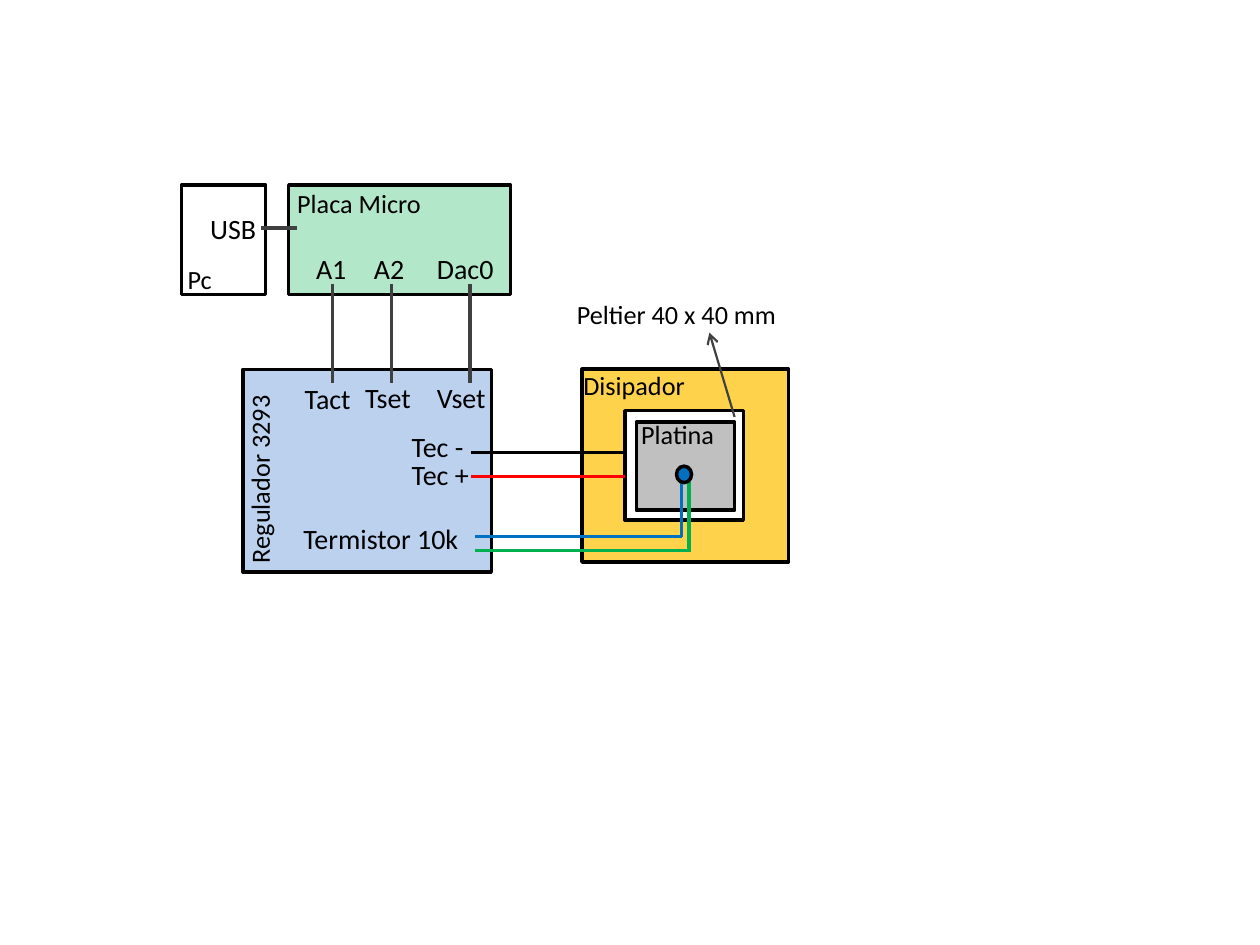
import dataclasses
import typing

import lxml.etree
import pptx
import pptx.dml.color
import pptx.enum.shapes
import pptx.enum.text
import pptx.oxml.ns
import pptx.util

COLORS = {
    "black": "000000", "white": "FFFFFF", "controller": "558ED5",
    "board": "00B050", "heatsink": "FFC000", "plate": "A6A6A6",
    "signal": "404040", "red": "FF0000", "blue": "0070C0", "green": "00B050",
}
SHAPES = pptx.enum.shapes.MSO_SHAPE


@dataclasses.dataclass
class Block:
    left: float
    top: float
    width: float
    height: float
    fill: typing.Optional[str] = None
    opacity: int = 100
    kind: typing.Any = SHAPES.RECTANGLE


@dataclasses.dataclass
class Wire:
    x1: float
    y1: float
    x2: float
    y2: float
    color: str = "signal"
    weight: float = 1.75
    arrow: bool = False


@dataclasses.dataclass
class Label:
    text: str
    left: float
    top: float
    width: float = 56.9
    size: float = 16
    rotation: float = 0


def rgb(name: str) -> pptx.dml.color.RGBColor:
    return pptx.dml.color.RGBColor.from_string(COLORS[name])


def add_child(parent: typing.Any, tag: str, **attributes: str) -> None:
    child = lxml.etree.SubElement(parent, pptx.oxml.ns.qn(tag))
    for name, value in attributes.items():
        child.set(name, value)


def draw_block(page: typing.Any, block: Block) -> None:
    lengths = (block.left, block.top, block.width, block.height)
    box = page.shapes.add_shape(block.kind, *map(pptx.util.Pt, lengths))
    box.shadow.inherit = False
    box.line.color.rgb = rgb("black")
    box.line.width = pptx.util.Pt(2)
    if block.fill is None:
        box.fill.background()
        return
    box.fill.solid()
    box.fill.fore_color.rgb = rgb(block.fill)
    if block.opacity < 100:
        color = box._element.spPr.find(
            pptx.oxml.ns.qn("a:solidFill") + "/" + pptx.oxml.ns.qn("a:srgbClr"))
        add_child(color, "a:alpha", val=str(block.opacity * 1000))


def draw_wire(page: typing.Any, wire: Wire) -> None:
    ends = (wire.x1, wire.y1, wire.x2, wire.y2)
    line = page.shapes.add_connector(
        pptx.enum.shapes.MSO_CONNECTOR.STRAIGHT, *map(pptx.util.Pt, ends))
    line.line.color.rgb = rgb(wire.color)
    line.line.width = pptx.util.Pt(wire.weight)
    if wire.arrow:
        add_child(line.line._get_or_add_ln(), "a:tailEnd", type="arrow")
    add_child(line._element.spPr, "a:effectLst")


def add_text(page: typing.Any, text: str, *, left: float, top: float,
             width: float, size: float, rotation: float = 0,
             color: str = "black", font: str = "Calibri") -> None:
    height = 26.6 if size == 16 else 25.4
    box = page.shapes.add_textbox(*map(pptx.util.Pt, (left, top, width, height)))
    box.rotation = rotation
    box.text_frame.word_wrap = True
    box.text_frame.auto_size = pptx.enum.text.MSO_AUTO_SIZE.SHAPE_TO_FIT_TEXT
    span = box.text_frame.paragraphs[0].add_run()
    span.text = text
    span.font.name = font
    span.font.size = pptx.util.Pt(size)
    span.font.color.rgb = rgb(color)


deck = pptx.Presentation()
deck.slide_width = pptx.util.Pt(720)
deck.slide_height = pptx.util.Pt(540)
page = deck.slides.add_slide(deck.slide_layouts[6])

# Equipment, from back to front
blocks = [
    Block(139, 211, 141.8, 115.9, "controller", 40),
    Block(165, 105.8, 126.7, 62.6, "board", 30),
    Block(332.6, 211, 118, 110.2, "heatsink", 70),
    Block(357.1, 234.7, 67.7, 62.6, "white"),
    Block(363.6, 241.2, 56.2, 50.4, "plate", 70),
    Block(103.7, 105.8, 48.2, 62.6),
]
for block in blocks:
    draw_block(page, block)

# Signal, power and thermistor wires
wires = [Wire(x, 162, x, 218.9) for x in (190.1, 223.9, 268.6)]
wires += [
    Wire(149, 130.3, 169.9, 130.3),
    Wire(269.3, 258.5, 357.1, 258.5, "black", 2),
    Wire(269.3, 272.2, 357.1, 272.2, "red", 2),
    Wire(271.4, 306.7, 389.5, 306.7, "blue", 2),
    Wire(389.5, 306.7, 389.5, 275.8, "blue", 2),
    Wire(271.4, 314.6, 394.6, 314.6, "green", 2),
    Wire(393.8, 314.6, 393.8, 274.3, "green", 2),
    Wire(419.8, 238.3, 405.4, 190.1, weight=1.25, arrow=True),
]
for wire in wires:
    draw_wire(page, wire)

# Temperature sensor
draw_block(page, Block(386.6, 266.4, 8.6, 9.4, "blue", kind=SHAPES.OVAL))

# Terminal and equipment names
labels = [
    Label("A1", 173.5, 140.4), Label("A2", 206.6, 140.4),
    Label("Dac0", 242.6, 140.4),
    Label("Tact", 167, 214.6), Label("Tset", 201.6, 213.8),
    Label("Vset", 242.6, 213.8),
    Label("Tec -", 228.2, 241.9), Label("Tec +", 228.2, 257.8),
    Label("Termistor 10k", 166.3, 294.5, 108),
    Label("USB", 113, 117.4, 51.8),
    Label("Placa Micro", 162.7, 103.7, 121, 15),
    Label("Regulador 3293", 87.8, 255.6, 121, 15, 270),
    Label("Disipador", 326.2, 207.4, 121, 15),
    Label("Platina", 359.3, 235.4, 121, 15),
    Label("Peltier 40 x 40 mm", 322.6, 167, 133.9, 15),
    Label("Pc", 100.1, 146.9, 121, 15),
]
for label in labels:
    add_text(page, label.text, left=label.left, top=label.top,
             width=label.width, size=label.size, rotation=label.rotation)

deck.save("out.pptx")
